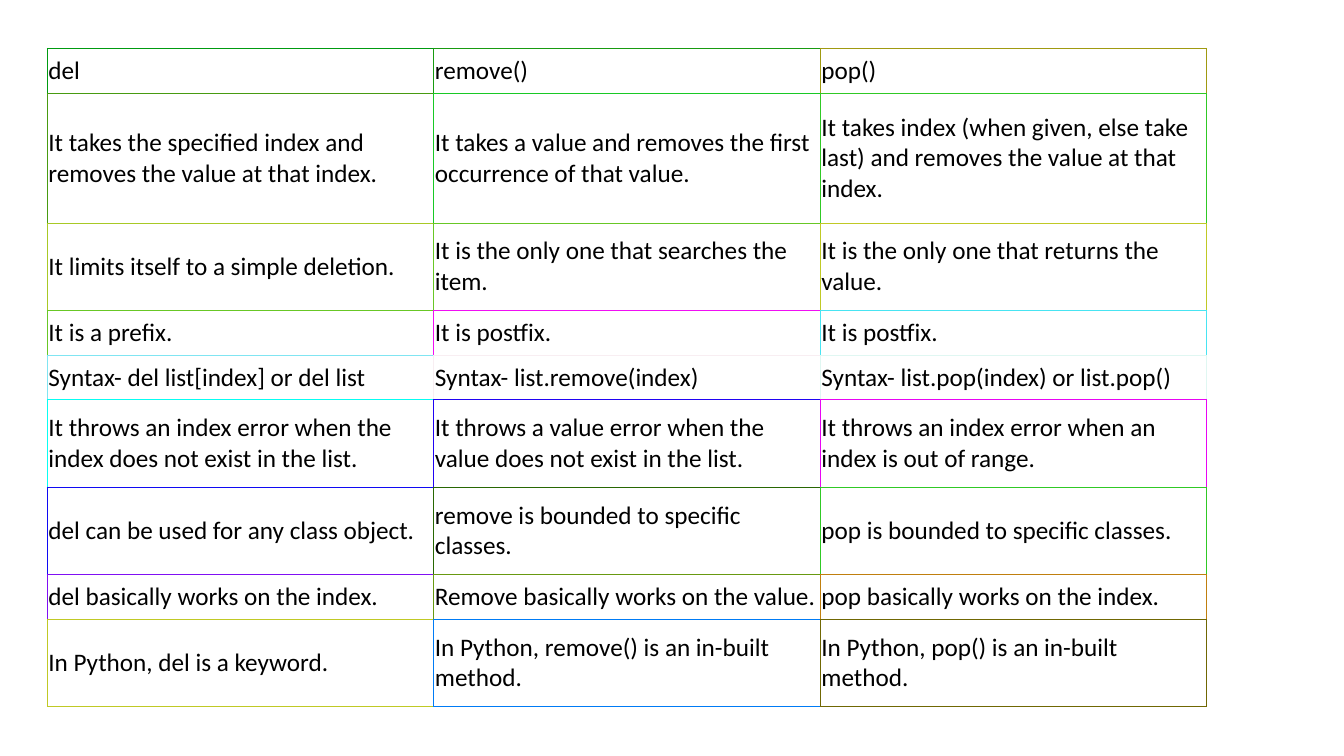
from lxml import etree
from pptx import Presentation
from pptx.dml.color import RGBColor
from pptx.enum.text import MSO_ANCHOR
from pptx.oxml.ns import qn
from pptx.util import Cm, Pt

MIDDLE = MSO_ANCHOR.MIDDLE

COMPARISON = [
    ("del", "remove()", "pop()"),
    ("It takes the specified index and removes the value at that index.",
     "It takes a value and removes the first occurrence of that value.",
     "It takes index (when given, else take last) and removes the value at that index."),
    ("It limits itself to a simple deletion.",
     "It is the only one that searches the item.",
     "It is the only one that returns the value."),
    ("It is a prefix.", "It is postfix.", "It is postfix."),
    ("Syntax- del list[index] or del list",
     "Syntax- list.remove(index)",
     "Syntax- list.pop(index) or list.pop()"),
    ("It throws an index error when the index does not exist in the list.",
     "It throws a value error when the value does not exist in the list.",
     "It throws an index error when an index is out of range."),
    ("del can be used for any class object.",
     "remove is bounded to specific classes.",
     "pop is bounded to specific classes."),
    ("del basically works on the index.",
     "Remove basically works on the value.",
     "pop basically works on the index."),
    ("In Python, del is a keyword.",
     "In Python, remove() is an in-built method.",
     "In Python, pop() is an in-built method."),
]
EDGE_COLORS = [
    ("009B11", "189B11", "A09A11"),
    ("489B11", "18C925", "30C925"),
    ("A8C925", "68C725", "C0C925"),
    ("68C725", "F00EF3", "48E4F2"),
    ("80E5F2", "F8EEF2", "E0F7F2"),
    ("08FDF2", "2003F3", "E804F3"),
    ("100AF3", "286703", "30C925"),
    ("800FF3", "689911", "C07F0E"),
    ("C0C925", "007BF5", "706703"),
]
HEIGHT_BY_LINES = {1: 1.13, 2: 2.2, 3: 3.27}
ROW_LINES = [1, 3, 2, 1, 1, 2, 2, 1, 2]
COLUMN_WIDTH = 9.74
LEFT, TOP = 1.19, 1.22
INSET = Cm(0.03)


def color(hex_code):
    return RGBColor.from_string(hex_code)


def write(frame, text, font="Calibri", size=18, ink="000000"):
    run = frame.paragraphs[0].add_run()
    run.text = text
    run.font.name = font
    run.font.size = Pt(size)
    run.font.color.rgb = color(ink)


def draw_edges(cell, edges, width=0.75):
    properties = cell._tc.get_or_add_tcPr()
    for side, hex_code in edges.items():
        line = etree.SubElement(properties, qn(f"a:ln{side}"), w=str(Pt(width)))
        fill = etree.SubElement(line, qn("a:solidFill"))
        etree.SubElement(fill, qn("a:srgbClr"), val=str(color(hex_code)))


def main():
    deck = Presentation()
    deck.slide_width, deck.slide_height = Cm(33.87), Cm(19.05)
    slide = deck.slides.add_slide(deck.slide_layouts[6])

    heights = [HEIGHT_BY_LINES[lines] for lines in ROW_LINES]
    last_row, last_column = len(COMPARISON) - 1, len(COMPARISON[0]) - 1
    table = slide.shapes.add_table(
        last_row + 1, last_column + 1, Cm(LEFT), Cm(TOP),
        Cm(COLUMN_WIDTH * (last_column + 1)), Cm(sum(heights))).table
    table.first_row = table.horz_banding = False
    for column in table.columns:
        column.width = Cm(COLUMN_WIDTH)

    for r, texts in enumerate(COMPARISON):
        table.rows[r].height = Cm(heights[r])
        for c, text in enumerate(texts):
            cell = table.cell(r, c)
            own = EDGE_COLORS[r][c]
            draw_edges(cell, {
                "L": own,
                "R": EDGE_COLORS[r][min(c + 1, last_column)],
                "T": own,
                "B": EDGE_COLORS[min(r + 1, last_row)][c],
            })
            cell.fill.solid()
            cell.fill.fore_color.rgb = color("FFFFFF")
            cell.margin_left = cell.margin_right = INSET
            cell.margin_top = cell.margin_bottom = INSET
            cell.vertical_anchor = MIDDLE
            write(cell.text_frame, text)

    deck.save("out.pptx")


if __name__ == "__main__":
    main()
